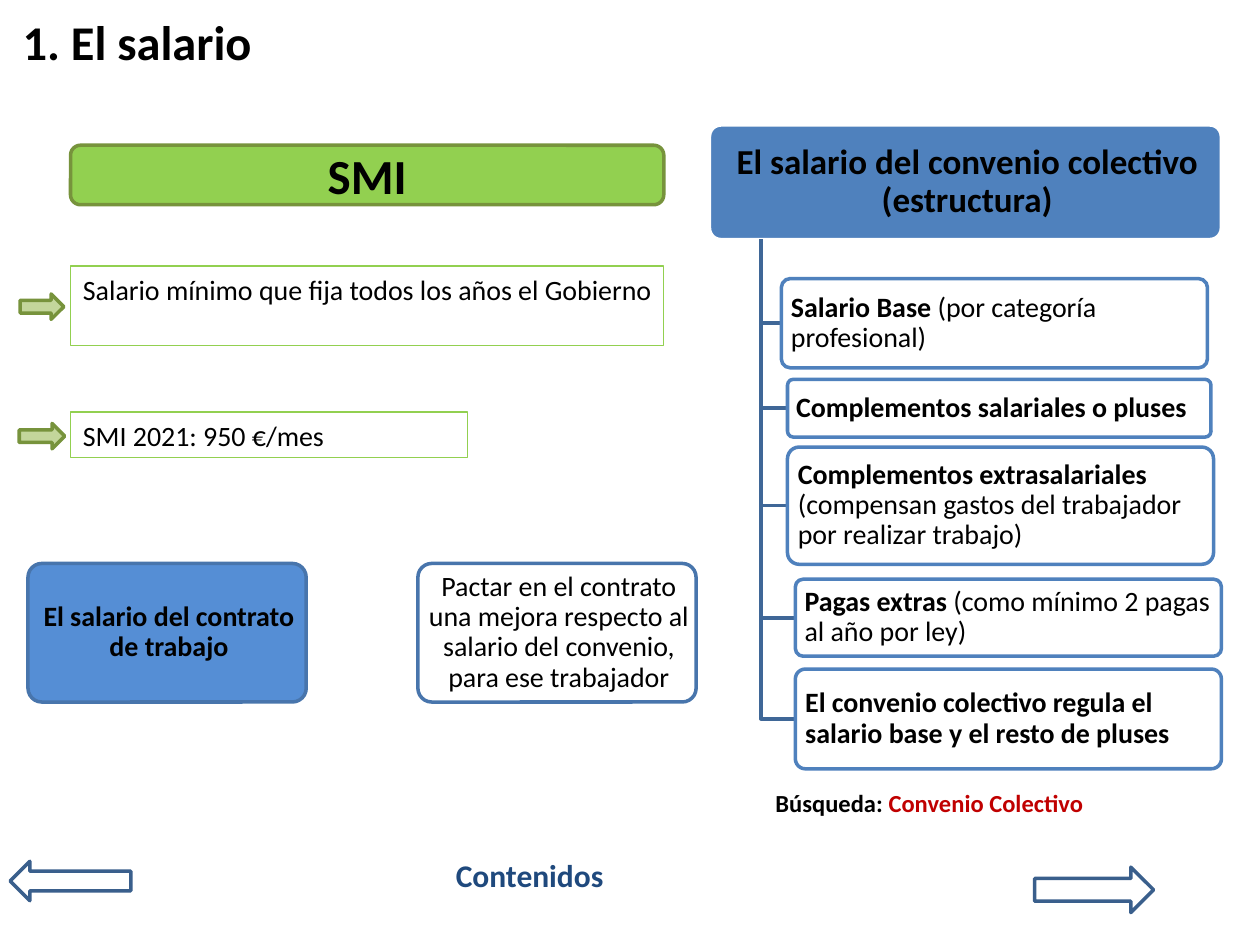
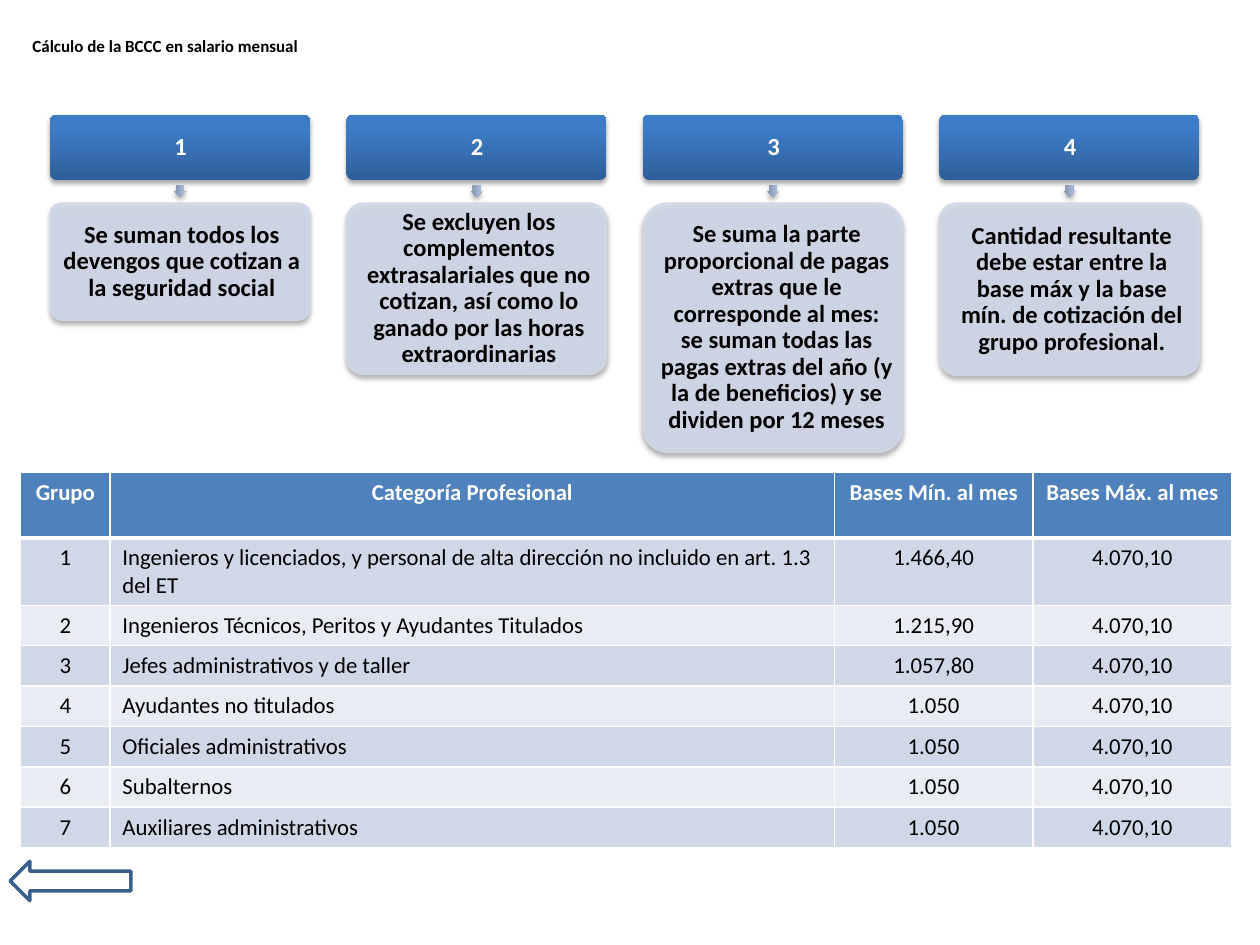
from lxml.etree import SubElement
from pptx import Presentation
from pptx.dml.color import RGBColor
from pptx.enum.shapes import MSO_SHAPE
from pptx.enum.text import MSO_ANCHOR, PP_ALIGN
from pptx.oxml.ns import qn
from pptx.util import Pt

FONT = "Calibri"
BLACK = RGBColor(0x00, 0x00, 0x00)
WHITE = RGBColor(0xFF, 0xFF, 0xFF)
NAVY = RGBColor(0x1F, 0x49, 0x7D)
RED = RGBColor(0xC0, 0x00, 0x00)
BLUE = RGBColor(0x4F, 0x81, 0xBD)
CONTRACT_BLUE = RGBColor(0x55, 0x8E, 0xD5)
CONTRACT_LINE = RGBColor(0x48, 0x75, 0xAC)
BRANCH_LINE = RGBColor(0x3F, 0x67, 0x97)
NAVIGATION_LINE = RGBColor(0x3A, 0x5F, 0x8C)
GREEN = RGBColor(0x92, 0xD0, 0x50)
PALE_GREEN = RGBColor(0xC3, 0xD6, 0x9B)
DARK_GREEN = RGBColor(0x77, 0x93, 0x3C)
STEP_GRADIENT = (RGBColor(0x2F, 0x5F, 0x99), RGBColor(0x3D, 0x7C, 0xC7))
ARROW_GRADIENT = (RGBColor(0x81, 0x8F, 0xA8), RGBColor(0xA7, 0xB9, 0xDA))
STEP_FILL = RGBColor(0xD0, 0xD8, 0xE8)
ROW_FILLS = (RGBColor(0xD0, 0xD8, 0xE7), RGBColor(0xE9, 0xEC, 0xF3))

# Boxes are (left, top, width, height) in points.
BACK_ARROW = (5.8, 492.2, 69, 22.5)
NEXT_ARROW = (591.2, 495.5, 68, 26)

MINIMUM_WAGE_NOTES = [
    ("Salario mínimo que fija todos los años el Gobierno",
     (40.3, 152, 339, 45.5), (11.5, 168, 25, 14.5)),
    ("SMI 2021: 950 €/mes", (40.3, 235.5, 227, 26), (11, 242, 26, 14.5)),
]

AGREEMENT_TITLE = "El salario del convenio colectivo (estructura)"
AGREEMENT_BOX = (405.4, 71.4, 292.5, 65.5)
TRUNK_LEFT, TRUNK_TOP = 434.8, 136.8
AGREEMENT_PARTS = [  # bold text, regular text, box
    ("Salario Base ", "(por categoría profesional)", (446.5, 159.2, 243.5, 51)),
    ("Complementos salariales o pluses", "", (450, 216.8, 242, 33)),
    ("Complementos extrasalariales ",
     "(compensan gastos del trabajador por realizar trabajo)", (450, 255.5, 243.5, 67)),
    ("Pagas extras ", "(como mínimo 2 pagas al año por ley)", (454.5, 331, 243.5, 44)),
    ("El convenio colectivo regula el salario base y el resto de pluses", "",
     (454.5, 382.3, 243.5, 57)),
]

CONTRACT_BOXES = [  # text, bold, fill, left
    ("El salario del contrato de trabajo", True, CONTRACT_BLUE, 16),
    ("Pactar en el contrato una mejora respecto al salario del convenio, "
     "para ese trabajador", False, WHITE, 238.8),
]

STEP_LEFT, STEP_PITCH, STEP_WIDTH = 28.6, 169.4, 148.5
STEPS = [  # text, height, inset
    ("Se suman todos los devengos que cotizan a la seguridad social", 67, 3.6),
    ("Se excluyen los complementos extrasalariales que no cotizan, así como lo "
     "ganado por las horas extraordinarias", 98, 4.3),
    ("Se suma la parte proporcional de pagas extras que le corresponde al mes: se "
     "suman todas las pagas extras del año (y la de beneficios) y se dividen por "
     "12 meses", 142.5, 5.8),
    ("Cantidad resultante debe estar entre la base máx y la base mín. de cotización "
     "del grupo profesional.", 98.5, 4.3),
]

COLUMN_WIDTHS = (51, 414, 113.4, 113.6)
TALL_ROW, SHORT_ROW = 37.4, 23.1
BASES = [
    ("Grupo", "Categoría Profesional", "Bases Mín. al mes", "Bases Máx. al mes"),
    ("1", "Ingenieros y licenciados, y personal de alta dirección no incluido en "
          "art. 1.3 del ET", "1.466,40", "4.070,10"),
    ("2", "Ingenieros Técnicos, Peritos y Ayudantes Titulados", "1.215,90", "4.070,10"),
    ("3", "Jefes administrativos y de taller", "1.057,80", "4.070,10"),
    ("4", "Ayudantes no titulados", "1.050", "4.070,10"),
    ("5", "Oficiales administrativos", "1.050", "4.070,10"),
    ("6", "Subalternos", "1.050", "4.070,10"),
    ("7", "Auxiliares administrativos", "1.050", "4.070,10"),
]


def points(values):
    """Turn plain numbers into lengths in points."""
    return [Pt(value) for value in values]


def format_run(run, size, color, bold):
    """Apply the shared font with a size, colour and weight."""
    run.font.name, run.font.size, run.font.bold = FONT, Pt(size), bold
    run.font.color.rgb = color


def write_text(shape, pieces, size, align=PP_ALIGN.LEFT, anchor=MSO_ANCHOR.MIDDLE,
               insets=(7.2, 3.6, 7.2, 3.6), after=None, wrap=True):
    """Write one paragraph made of (text, colour, bold) pieces; after also tightens lines."""
    frame = shape.text_frame
    frame.word_wrap, frame.vertical_anchor = wrap, anchor
    (frame.margin_left, frame.margin_top,
     frame.margin_right, frame.margin_bottom) = points(insets)
    paragraph = frame.paragraphs[0]
    paragraph.alignment = align
    if after is not None:
        paragraph.line_spacing, paragraph.space_after = 0.9, Pt(after)
    for text, color, bold in pieces:
        run = paragraph.add_run()
        run.text = text
        format_run(run, size, color, bold)


def add_label(slide, box, pieces, size, **options):
    """Add a text box."""
    label = slide.shapes.add_textbox(*points(box))
    write_text(label, pieces, size, **options)


def set_line(shape, color, width):
    """Outline a shape, or remove its outline when there is no colour."""
    if color is None:
        shape.line.fill.background()
    else:
        shape.line.color.rgb, shape.line.width = color, Pt(width)


def add_box(slide, kind, box, fill=None, line=None, width=2):
    """Add a flat preset shape; a pair of colours as fill gives a vertical gradient."""
    shape = slide.shapes.add_shape(kind, *points(box))
    shape.shadow.inherit = False
    if kind == MSO_SHAPE.ROUNDED_RECTANGLE:
        shape.adjustments[0] = 0.1
    if fill is None:
        shape.fill.background()
    elif isinstance(fill, RGBColor):
        shape.fill.solid()
        shape.fill.fore_color.rgb = fill
    else:
        shape.fill.gradient()
        shape.fill.gradient_angle = 90
        for stop, color, position in zip(shape.fill.gradient_stops, fill, (0, 0.8)):
            stop.color.rgb, stop.position = color, position
    set_line(shape, line, width)
    return shape


def add_soft_shadow(shape):
    """Give a shape a soft shadow straight below it."""
    effects = shape._element.spPr.find(qn("a:effectLst"))
    shadow = SubElement(effects, qn("a:outerShdw"), blurRad=str(Pt(3.1)),
                        dist=str(Pt(1.8)), dir="5400000", rotWithShape="0")
    color = SubElement(shadow, qn("a:srgbClr"), val=str(BLACK))
    SubElement(color, qn("a:alpha"), val="35000")


def make_translucent(shape):
    """Set the solid fill and line of a shape to 90 % opacity."""
    for color in shape._element.spPr.iter(qn("a:srgbClr")):
        SubElement(color, qn("a:alpha"), val="90000")


def add_title(slide, left, top, text, size):
    """Add the slide title."""
    add_label(slide, (left, top, 648, 45.4), [(text, BLACK, True)], size)


def add_navigation(slide, kind, box):
    """Add an outlined navigation arrow."""
    add_box(slide, kind, box, line=NAVIGATION_LINE)


def add_branch(slide, left, middle):
    """Draw an elbow from the trunk to a branch box."""
    builder = slide.shapes.build_freeform(Pt(TRUNK_LEFT), Pt(TRUNK_TOP), 1)
    builder.add_line_segments([(Pt(TRUNK_LEFT), Pt(middle)), (Pt(left), Pt(middle))],
                              close=False)
    elbow = builder.convert_to_shape()
    elbow.shadow.inherit = False
    elbow.fill.background()
    set_line(elbow, BRANCH_LINE, 2)


def add_agreement(slide):
    """Draw the collective agreement hierarchy."""
    rounded = MSO_SHAPE.ROUNDED_RECTANGLE
    heading = add_box(slide, rounded, AGREEMENT_BOX, BLUE, WHITE)
    write_text(heading, [(AGREEMENT_TITLE, BLACK, True)], 20, PP_ALIGN.CENTER,
               insets=(5, 3.6, 2.9, 3.6), after=7)
    for bold_text, regular_text, box in AGREEMENT_PARTS:
        left, top, _, height = box
        add_branch(slide, left, top + height / 2)
        part = add_box(slide, rounded, box, WHITE, BLUE)
        pieces = [(bold_text, BLACK, True)]
        if regular_text:
            pieces.append((regular_text, BLACK, False))
        write_text(part, pieces, 16, insets=(4, 3, 2.2, 3), after=5.6)


def add_step(slide, index, text, height, inset):
    """Draw one numbered step: number, small arrow and explanation."""
    left = STEP_LEFT + index * STEP_PITCH
    rounded = MSO_SHAPE.ROUNDED_RECTANGLE
    number = add_box(slide, rounded, (left, 65.5, STEP_WIDTH, 37.4), STEP_GRADIENT)
    write_text(number, [(str(index + 1), WHITE, True)], 14, PP_ALIGN.CENTER,
               insets=(2.2, 2.2, 1.4, 2.2), after=4.9)
    arrow = add_box(slide, MSO_SHAPE.RIGHT_ARROW,
                    (left + STEP_WIDTH / 2 - 3.25, 106, 6.5, 6.5), ARROW_GRADIENT)
    arrow.rotation = 90
    arrow.adjustments[0] = 0.67
    detail = add_box(slide, rounded, (left, 116, STEP_WIDTH, height),
                     STEP_FILL, STEP_FILL, 0.75)
    make_translucent(detail)
    write_text(detail, [(text, BLACK, True)], 14, PP_ALIGN.CENTER,
               insets=(inset, inset, 1.4, inset), after=4.9)
    for shape in (number, arrow, detail):
        add_soft_shadow(shape)


def set_borders(cell, bottom):
    """Draw white borders round a cell; bottom is the lower border's width."""
    properties = cell._tc.get_or_add_tcPr()
    for side, width in (("L", 0.96), ("R", 0.96), ("T", 0.96), ("B", bottom)):
        line = SubElement(properties, qn("a:ln" + side), w=str(Pt(width)))
        fill = SubElement(line, qn("a:solidFill"))
        SubElement(fill, qn("a:srgbClr"), val=str(WHITE))


def add_bases_table(slide):
    """Add the table of contribution bases."""
    heights = [TALL_ROW] * 2 + [SHORT_ROW] * (len(BASES) - 2)
    table = slide.shapes.add_table(
        len(BASES), len(COLUMN_WIDTHS),
        *points((11.8, 270, sum(COLUMN_WIDTHS), sum(heights)))).table
    for column, width in zip(table.columns, COLUMN_WIDTHS):
        column.width = Pt(width)
    for row_index, (row, height, texts) in enumerate(zip(table.rows, heights, BASES)):
        row.height = Pt(height)
        header = row_index == 0
        for column_index, (cell, text) in enumerate(zip(row.cells, texts)):
            set_borders(cell, 3 if header else 0.96)
            cell.fill.solid()
            cell.fill.fore_color.rgb = BLUE if header else ROW_FILLS[(row_index - 1) % 2]
            cell.text_frame.text = text
            paragraph = cell.text_frame.paragraphs[0]
            left_aligned = column_index == 1 and not header
            paragraph.alignment = PP_ALIGN.LEFT if left_aligned else PP_ALIGN.CENTER
            format_run(paragraph.runs[0], 13, WHITE if header else BLACK, header)


def build_salary_slide(slide):
    """Build the slide on minimum wage, agreement and contract."""
    add_label(slide, (253.4, 485.5, 103.7, 50.4), [("Contenidos", NAVY, True)], 18,
              anchor=MSO_ANCHOR.TOP)
    add_title(slide, 5.8, 0.7, "1. El salario", 27.7)
    add_navigation(slide, MSO_SHAPE.LEFT_ARROW, BACK_ARROW)
    add_navigation(slide, MSO_SHAPE.RIGHT_ARROW, NEXT_ARROW)
    heading = add_box(slide, MSO_SHAPE.FLOWCHART_ALTERNATE_PROCESS,
                      (40.3, 83, 339, 34), GREEN, DARK_GREEN)
    write_text(heading, [("SMI", BLACK, True)], 28, PP_ALIGN.CENTER)
    for text, box, arrow_box in MINIMUM_WAGE_NOTES:
        add_box(slide, MSO_SHAPE.RIGHT_ARROW, arrow_box, PALE_GREEN, DARK_GREEN)
        note = add_box(slide, MSO_SHAPE.RECTANGLE, box, line=GREEN, width=0.75)
        write_text(note, [(text, BLACK, False)], 16, anchor=MSO_ANCHOR.TOP,
                   insets=(7.2, 3.6, 3.6, 3.6))
    add_agreement(slide)
    for text, bold, fill, left in CONTRACT_BOXES:
        box = add_box(slide, MSO_SHAPE.ROUNDED_RECTANGLE, (left, 322, 159, 79.2),
                      fill, CONTRACT_LINE)
        write_text(box, [(text, BLACK, bold)], 16, PP_ALIGN.CENTER,
                   insets=(2.9, 2.9, 0.7, 2.9), after=5.6)
    add_label(slide, (401.8, 446.6, 258.5, 23.8),
              [("Búsqueda: ", BLACK, True), ("Convenio Colectivo", RED, True)], 14,
              align=PP_ALIGN.CENTER, anchor=MSO_ANCHOR.TOP, wrap=False)


def build_base_slide(slide):
    """Build the slide on the contribution base calculation."""
    add_title(slide, 11.5, 3.6, "Cálculo de la BCCC en salario mensual", 9.7)
    add_navigation(slide, MSO_SHAPE.LEFT_ARROW, BACK_ARROW)
    for index, step in enumerate(STEPS):
        add_step(slide, index, *step)
    add_bases_table(slide)


presentation = Presentation()
presentation.slide_width, presentation.slide_height = Pt(720), Pt(540)
for build in (build_salary_slide, build_base_slide):
    build(presentation.slides.add_slide(presentation.slide_layouts[6]))
presentation.save("out.pptx")
